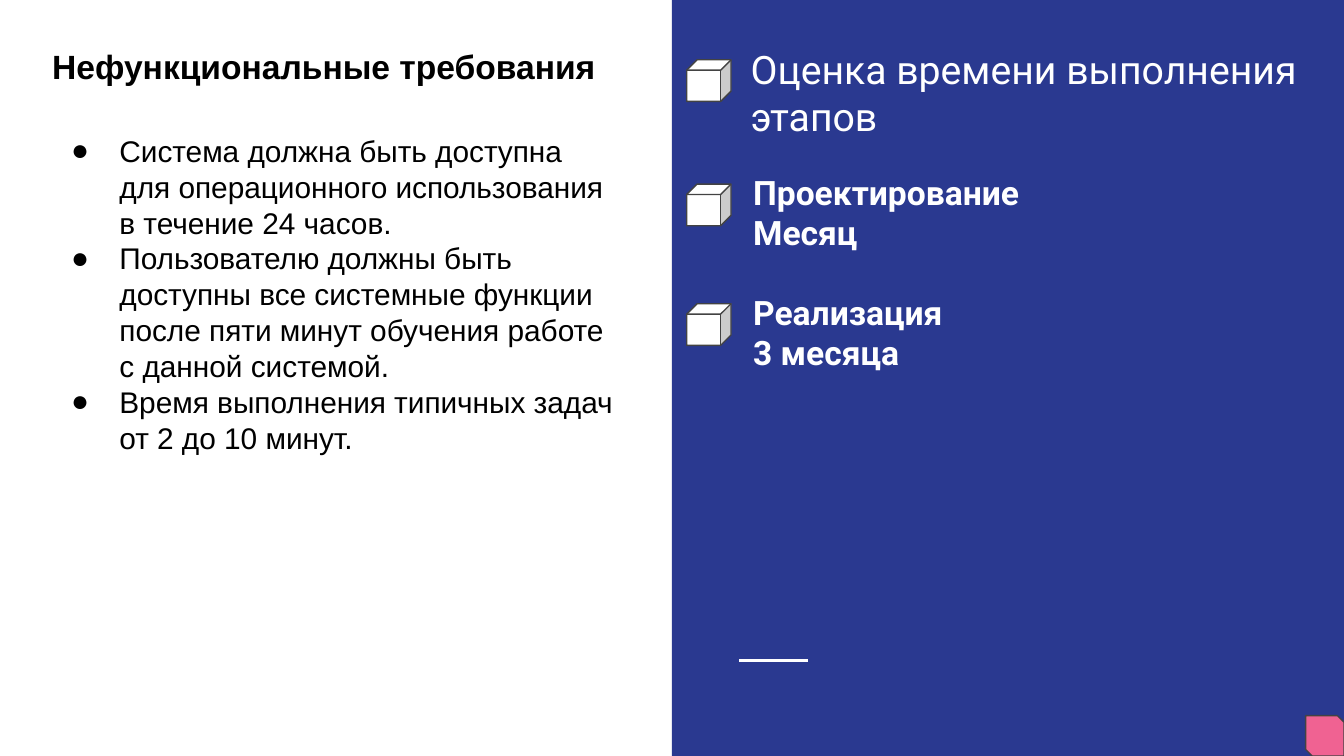
"""Build a slide of requirements beside time estimates for each stage."""
from dataclasses import dataclass

from lxml.etree import SubElement as Sub
from pptx import Presentation
from pptx.dml.color import RGBColor as Rgb
from pptx.enum.shapes import MSO_CONNECTOR as Link, MSO_SHAPE as Kind
from pptx.enum.text import MSO_ANCHOR as Anchor, MSO_AUTO_SIZE as Auto, PP_ALIGN as Align
from pptx.oxml.ns import qn
from pptx.util import Pt

PX = 4572
WIDE, HIGH = 2000, 1125
HALF = WIDE // 2


@dataclass(frozen=True)
class Theme:
    navy: str = "2A3990"
    white: str = "FFFFFF"
    black: str = "000000"
    pink: str = "F06292"
    edge: str = "434343"
    sans: str = "Arial"
    head: str = "Roboto"
    title: int = 21
    lead: int = 18
    body: int = 16


T = Theme()

NEEDS = (
    "Система должна быть доступна для операционного использования в течение 24 часов.",
    "Пользователю должны быть доступны все системные функции после пяти минут "
    "обучения работе с данной системой.",
    "Время выполнения типичных задач от 2 до 10 минут.",
)
STAGES = (("Проектирование", "Месяц"), ("Реализация", "3 месяца"))
CUBES = (89, 274, 452)


def px(*nums):
    return [n * PX for n in nums]


def place(item, box):
    item.left, item.top, item.width, item.height = px(*box)


def frame(item):
    body = item.text_frame
    body.word_wrap = True
    body.auto_size = Auto.NONE
    body.vertical_anchor = Anchor.TOP
    body.margin_left = body.margin_right = body.margin_top = body.margin_bottom = 20 * PX
    return body


def write(body, text, size=T.lead, font=T.head, color=T.white, bold=False,
          after=0, bullet=False):
    para = body.paragraphs[0]
    if para.runs:
        para = body.add_paragraph()
    para.alignment = Align.LEFT
    para.line_spacing = 1.0
    para.space_before, para.space_after = Pt(0), Pt(after)
    if bullet:
        props = para._p.get_or_add_pPr()
        props.set("marL", str(100 * PX))
        props.set("indent", str(-72 * PX))
        Sub(props, qn("a:buFont")).set("typeface", font)
        Sub(props, qn("a:buChar")).set("char", "●")
    run = para.add_run()
    run.text = text
    face = run.font
    face.name, face.size, face.bold = font, Pt(size), bold
    face.color.rgb = Rgb.from_string(color)


def shape(slide, kind, box, fill, edge=None, adj=()):
    item = slide.shapes.add_shape(kind, *px(*box))
    item.shadow.inherit = False
    item.fill.solid()
    item.fill.fore_color.rgb = Rgb.from_string(fill)
    if edge:
        item.line.color.rgb = Rgb.from_string(edge)
        item.line.width = Pt(0.75)
    else:
        item.line.fill.background()
    for i, value in enumerate(adj):
        item.adjustments[i] = value
    return item


def rule(slide, ends, color):
    item = slide.shapes.add_connector(Link.STRAIGHT, *px(*ends))
    item.line.color.rgb = Rgb.from_string(color)
    item.line.width = Pt(1.5)
    Sub(item.element.spPr, qn("a:effectLst"))


def needs(slide):
    body = frame(slide.shapes.add_textbox(*px(58, 48, 884, 1006)))
    write(body, "Нефункциональные требования", font=T.sans, color=T.black,
          bold=True, after=25)
    for text in NEEDS:
        write(body, text, T.body, T.sans, T.black, bullet=True)


def stages(slide):
    body = frame(slide.shapes.add_textbox(*px(1101, 236, 898, 818)))
    for name, term in STAGES:
        write(body, name, bold=True)
        write(body, term, bold=True, after=T.title)
    for top in CUBES:
        shape(slide, Kind.CUBE, (1022, top, 66, 62), T.white, T.edge, (0.25,))


def main():
    deck = Presentation()
    deck.slide_width, deck.slide_height = px(WIDE, HIGH)
    slide = deck.slides.add_slide(deck.slide_layouts[5])
    title = slide.shapes.title
    panel = shape(slide, Kind.RECTANGLE, (HALF, 0, HALF, HIGH), T.navy)
    title.element.addprevious(panel.element)
    rule(slide, (1100, 983, 1202, 983), T.white)
    place(title, (1097, 48, 884, 188))
    write(frame(title), "Оценка времени выполнения этапов", T.title)
    needs(slide)
    stages(slide)
    shape(slide, Kind.SNIP_2_DIAG_RECTANGLE, (1943, 1065, 57, 60), T.pink, T.edge, (0, 0.17))
    deck.save("out.pptx")


if __name__ == "__main__":
    main()
